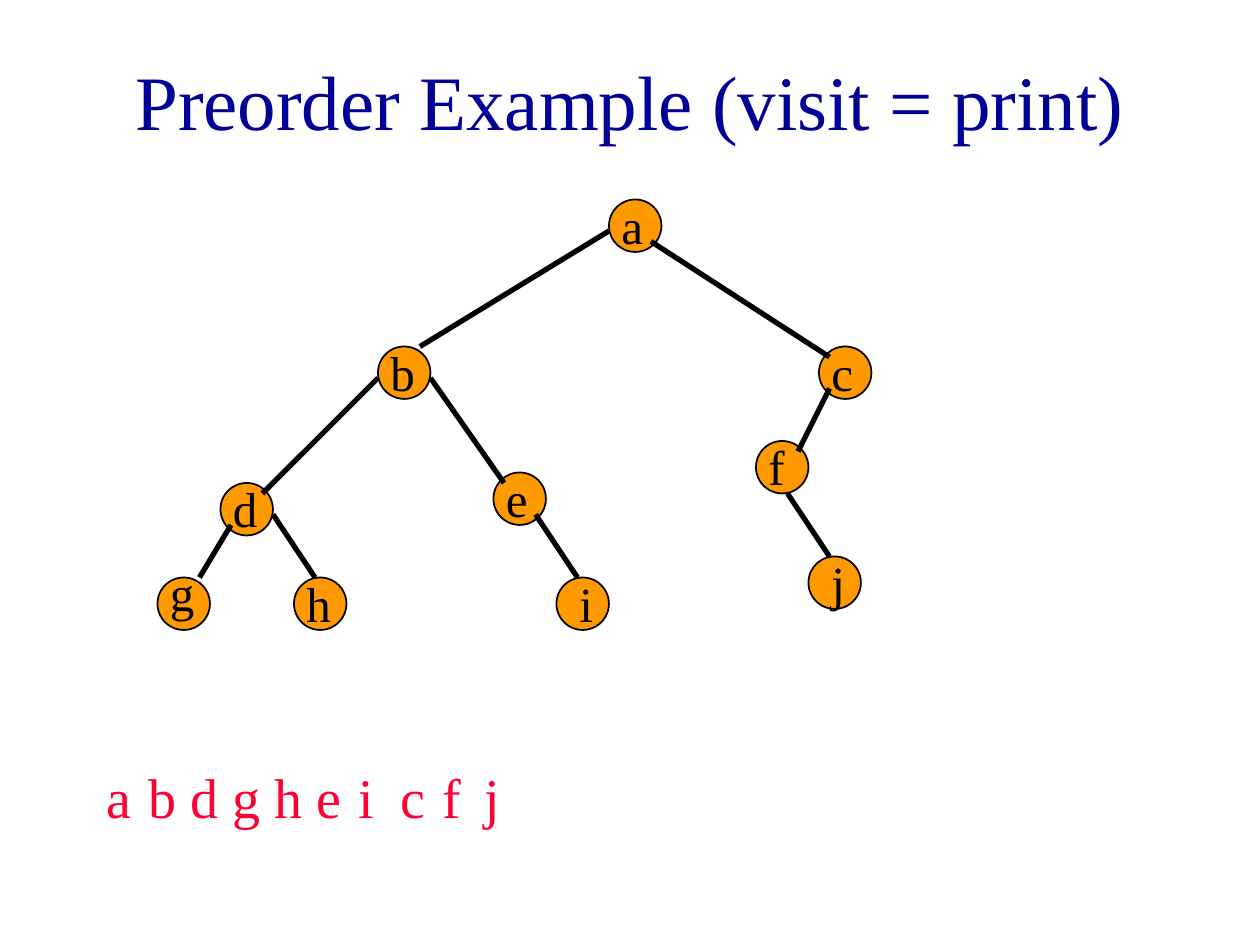
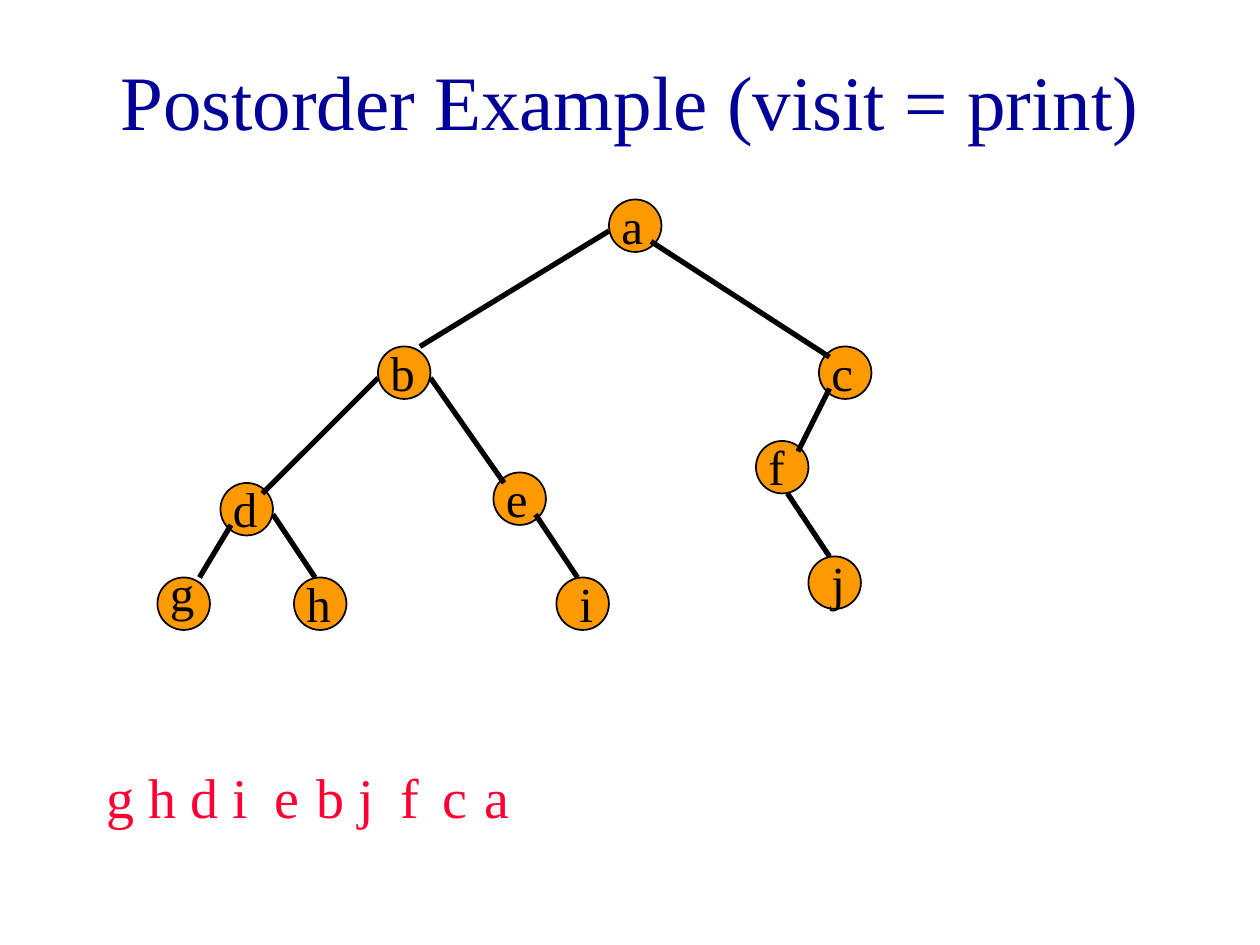
from dataclasses import dataclass

from lxml.etree import SubElement
from pptx import Presentation
from pptx.dml.color import RGBColor
from pptx.enum.shapes import MSO_CONNECTOR, MSO_SHAPE
from pptx.enum.text import MSO_ANCHOR, MSO_AUTO_SIZE, PP_ALIGN
from pptx.oxml.ns import qn
from pptx.presentation import Presentation as Deck
from pptx.slide import Slide
from pptx.util import Pt

COLORS = {"title": "000099", "node": "FF9900", "ink": "000000", "output": "FF0033"}
FONT = "Times New Roman"
GRID = 6
NODE_SIZE = 5 * GRID


@dataclass(frozen=True)
class Node:
    name: str
    col: int
    row: int
    label_dx: int = 0
    label_dy: int = -1


@dataclass(frozen=True)
class Edge:
    x1: int
    y1: int
    x2: int
    y2: int


@dataclass(frozen=True)
class Traversal:
    title: str
    order: str


NODES = [
    Node("a", 58, 19),
    Node("b", 36, 33),
    Node("c", 78, 33),
    Node("d", 21, 46),
    Node("e", 47, 45),
    Node("f", 72, 42),
    Node("g", 15, 55, label_dy=-2),
    Node("h", 28, 55),
    Node("i", 53, 55, label_dx=1),
    Node("j", 77, 53, label_dx=1),
]

EDGES = [
    Edge(58, 22, 40, 33),
    Edge(62, 23, 79, 34),
    Edge(36, 36, 25, 47),
    Edge(41, 36, 48, 46),
    Edge(79, 37, 76, 43),
    Edge(22, 50, 19, 55),
    Edge(26, 49, 30, 55),
    Edge(51, 49, 55, 55),
    Edge(75, 47, 79, 53),
]

TRAVERSALS = [
    Traversal("Preorder Example (visit = print)", "abdgheicfj"),
    Traversal("Postorder Example (visit = print)", "ghdiebjfca"),
]


def rgb(name: str) -> RGBColor:
    return RGBColor.from_string(COLORS[name])


def add_text(slide: Slide, text: str, left: float, top: float, width: float,
             height: float, size: float, color: str, before: float = 0,
             title: bool = False) -> None:
    tf = slide.shapes.add_textbox(Pt(left), Pt(top), Pt(width), Pt(height)).text_frame
    tf.word_wrap = True
    tf.text = text
    p = tf.paragraphs[0]
    if title:
        tf.vertical_anchor = MSO_ANCHOR.MIDDLE
        p.alignment = PP_ALIGN.CENTER
    else:
        tf.auto_size = MSO_AUTO_SIZE.SHAPE_TO_FIT_TEXT
        p.space_before = Pt(before)
    font = p.runs[0].font
    font.name = FONT
    font.size = Pt(size)
    font.color.rgb = rgb(color)


def add_node(slide: Slide, node: Node) -> None:
    sp = slide.shapes.add_shape(MSO_SHAPE.OVAL, Pt(node.col * GRID), Pt(node.row * GRID),
                                Pt(NODE_SIZE), Pt(NODE_SIZE))
    sp.shadow.inherit = False
    sp.fill.solid()
    sp.fill.fore_color.rgb = rgb("node")
    sp.line.color.rgb = rgb("ink")
    sp.line.width = Pt(1)


def add_edge(slide: Slide, edge: Edge) -> None:
    line = slide.shapes.add_connector(
        MSO_CONNECTOR.STRAIGHT, Pt(edge.x1 * GRID), Pt(edge.y1 * GRID),
        Pt(edge.x2 * GRID), Pt(edge.y2 * GRID))
    line.line.color.rgb = rgb("ink")
    line.line.width = Pt(3)
    SubElement(line._element.spPr, qn("a:effectLst"))


def add_label(slide: Slide, node: Node) -> None:
    add_text(slide, node.name, (node.col + node.label_dx) * GRID,
             (node.row + node.label_dy) * GRID, 60, 41, 28, "ink", before=17.5)


def add_tree(slide: Slide) -> None:
    for node in NODES:
        add_node(slide, node)
    for edge in EDGES:
        add_edge(slide, edge)
    for node in NODES:
        add_label(slide, node)


def add_traversal_slide(prs: Deck, traversal: Traversal) -> None:
    slide = prs.slides.add_slide(prs.slide_layouts[6])
    add_text(slide, traversal.title, 54, 12, 612, 90, 44, "title", title=True)
    add_tree(slide)
    for i, name in enumerate(traversal.order):
        add_text(slide, name, 54 + 24 * i, 432, 30, 46, 32, "output", before=20)


def main() -> None:
    prs = Presentation()
    prs.slide_width, prs.slide_height = Pt(720), Pt(540)
    for traversal in TRAVERSALS:
        add_traversal_slide(prs, traversal)
    prs.save("out.pptx")


if __name__ == "__main__":
    main()
